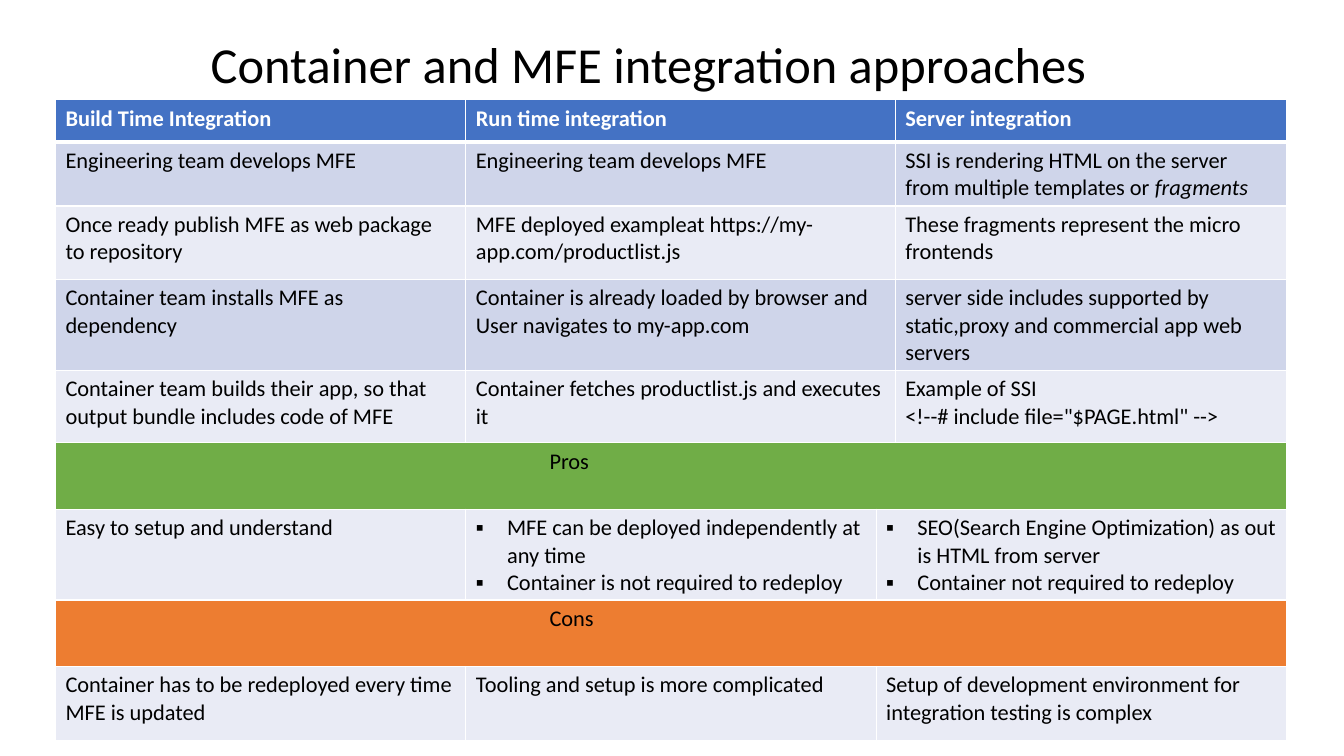
import pptx
import pptx.util
import pptx.dml.color
import pptx.oxml
import pptx.oxml.ns

Inches = pptx.util.Inches
W, H = 13.33, 7.5
NS = pptx.oxml.ns.nsdecls("a")


def rgb(code):
    return pptx.dml.color.RGBColor.from_string(code)


def write(tf, text, size=16, color="000000", bold=False, italic_tail="", indent=0, bullet=False):
    """Fill a text frame, one paragraph per line of text."""
    tf.word_wrap = True
    for i, line in enumerate(text.split("\n")):
        p = tf.add_paragraph() if i else tf.paragraphs[0]
        if indent:
            pPr = p._p.get_or_add_pPr()
            pPr.set("marL", str(Inches(indent)))
            pPr.set("indent", str(-Inches(indent) if bullet else 0))
            if bullet:
                pPr.append(pptx.oxml.parse_xml(f'<a:buFont {NS} typeface="Calibri"/>'))
                pPr.append(pptx.oxml.parse_xml(f'<a:buChar {NS} char="▪"/>'))
        for piece, italic in ((line, False), (italic_tail, True)):
            if piece:
                r = p.add_run()
                r.text = piece
                r.font.name, r.font.size = "Calibri", pptx.util.Pt(size)
                r.font.bold, r.font.italic = bold, italic
                r.font.color.rgb = rgb(color)


prs = pptx.Presentation()
prs.slide_width, prs.slide_height = Inches(W), Inches(H)
s = prs.slides.add_slide(prs.slide_layouts[6])

# Title
tf = s.shapes.add_textbox(Inches(1.42), Inches(0.28), Inches(10.29), Inches(0.71)).text_frame
tf.margin_left = Inches(0.67)
write(tf, "Container and MFE integration approaches", size=36)

# Rows: height, fill, starting column of each cell, texts
HEAD, DARK, LIGHT, GREEN, ORANGE = "4472C4", "CFD5EA", "E9EBF5", "70AD47", "ED7D31"
STEPS, BAND, NOTES = (0, 1, 3), (0,), (0, 1, 2)
rows = [
    (0.42, HEAD, STEPS, ["Build Time Integration", "Run time integration", "Server integration"]),
    (0.42, DARK, STEPS, ["Engineering team develops MFE", "Engineering team develops MFE",
                         "SSI is rendering HTML on the server from multiple templates or "]),
    (0.73, LIGHT, STEPS, ["Once ready publish MFE as web package to repository",
                          "MFE deployed exampleat https://my-app.com/productlist.js",
                          "These fragments represent the micro frontends"]),
    (0.79, DARK, STEPS, ["Container team installs MFE as dependency",
                         "Container is already loaded by browser and User navigates to my-app.com",
                         "server side includes supported by static,proxy and commercial app web servers"]),
    (0.72, LIGHT, STEPS, ["Container team builds their app, so that output bundle includes code of MFE",
                          "Container fetches productlist.js and executes it",
                          'Example of SSI\n<!--# include file="$PAGE.html" -->']),
    (0.66, GREEN, BAND, ["Pros"]),
    (0.73, LIGHT, NOTES, ["Easy to setup and understand",
                          "MFE can be deployed independently at any time\nContainer is not required to redeploy",
                          "SEO(Search Engine Optimization) as out is HTML from server\n"
                          "Container not required to redeploy"]),
    (0.66, ORANGE, BAND, ["Cons"]),
    (0.73, LIGHT, NOTES, ["Container has to be redeployed every time MFE is updated",
                          "Tooling and setup is more complicated",
                          "Setup of development environment for integration testing is complex"]),
]
col_widths = [4.07, 4.07, 0.19, 3.88]
PROS_ROW = 6

# Table grid
frame = s.shapes.add_table(len(rows), len(col_widths), Inches(0.55), Inches(0.99),
                           Inches(12.22), Inches(6.35))
table = frame.table
table.first_row = table.horz_banding = False
for column, width in zip(table.columns, col_widths):
    column.width = Inches(width)

for i, (height, fill, starts, texts) in enumerate(rows):
    table.rows[i].height = Inches(height)

    # Fill and white borders, thicker under the header
    for cell in table.rows[i].cells:
        cell.fill.solid()
        cell.fill.fore_color.rgb = rgb(fill)
        tcPr = cell._tc.get_or_add_tcPr()
        for k, side in enumerate("LRTB"):
            points = 3 if (i, side) in ((0, "B"), (1, "T")) else 1
            tcPr.insert(k, pptx.oxml.parse_xml(
                f'<a:ln{side} {NS} w="{pptx.util.Pt(points)}">'
                f'<a:solidFill><a:srgbClr val="FFFFFF"/></a:solidFill></a:ln{side}>'))

    # Merges and text
    ends = starts[1:] + (len(col_widths),)
    for start, end, text in zip(starts, ends, texts):
        cell = table.cell(i, start)
        if end - start > 1:
            cell.merge(table.cell(i, end - 1))
        bullet = i == PROS_ROW and start > 0
        write(cell.text_frame, text, color="FFFFFF" if i == 0 else "000000", bold=i == 0,
              italic_tail="fragments" if (i, start) == (1, 3) else "",
              indent=0.31 if bullet else 4.8 if starts == BAND else 0, bullet=bullet)

frame.height = Inches(6.35)

prs.save("out.pptx")
